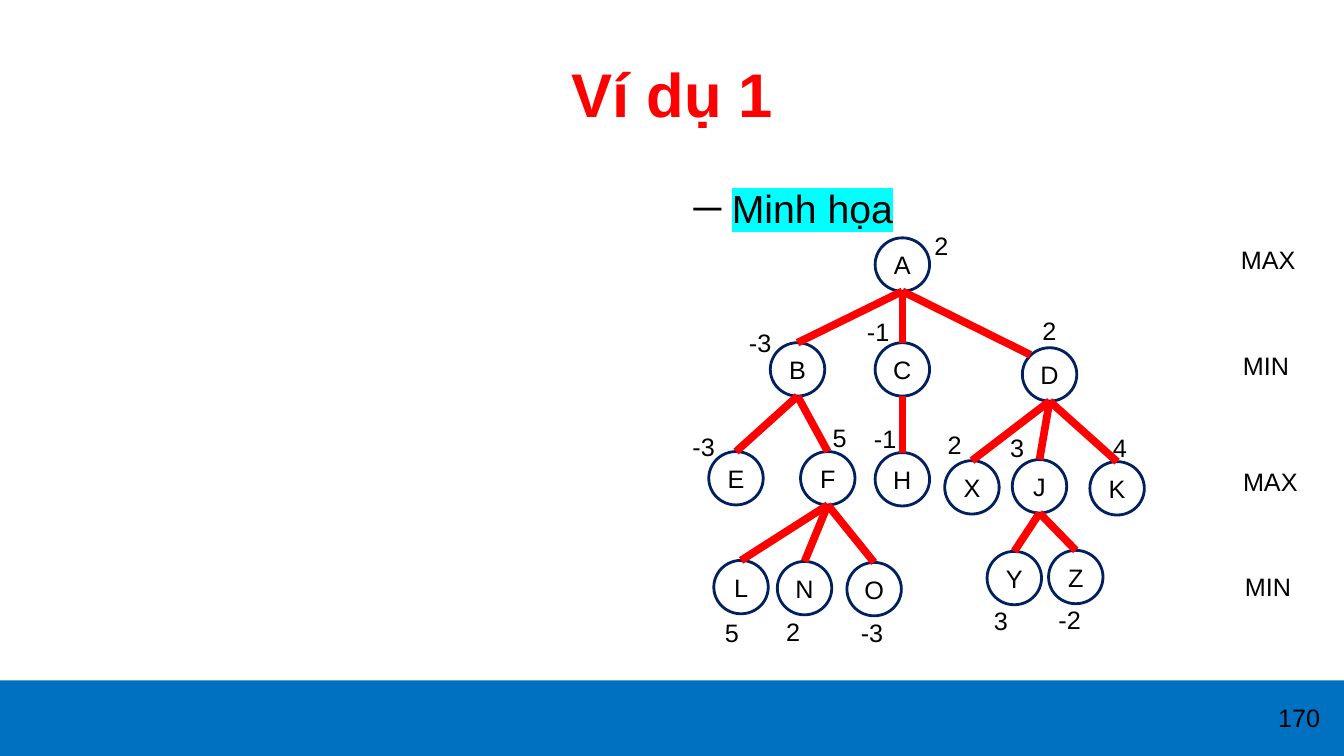
from dataclasses import dataclass

from lxml.etree import SubElement
from pptx import Presentation
from pptx.dml.color import RGBColor
from pptx.enum.shapes import MSO_CONNECTOR, MSO_SHAPE
from pptx.enum.text import MSO_ANCHOR, PP_ALIGN
from pptx.oxml import parse_xml
from pptx.oxml.ns import nsdecls, qn
from pptx.util import Inches, Pt


@dataclass(frozen=True)
class Theme:
    font: str = "Arial"
    text: RGBColor = RGBColor(0, 0, 0)
    accent: RGBColor = RGBColor(0xFF, 0, 0)
    outline: RGBColor = RGBColor(0, 0x20, 0x60)
    footer: RGBColor = RGBColor(0, 0x70, 0xC0)
    highlight: str = "00FFFF"
    title_size: Pt = Pt(44)
    body_size: Pt = Pt(28)
    label_size: Pt = Pt(18)
    outline_width: Pt = Pt(2)
    edge_width: Pt = Pt(5.5)


THEME = Theme()
NODE_WIDTH, NODE_HEIGHT = 0.54, 0.53
LABEL_HEIGHT = 0.4

NODES = {
    "A": (8.68, 2.36),
    "B": (7.64, 3.40), "C": (8.68, 3.40), "D": (10.14, 3.45),
    "E": (7.03, 4.48), "F": (7.94, 4.48), "H": (8.68, 4.49),
    "X": (9.37, 4.57), "J": (10.04, 4.56), "K": (10.81, 4.58),
    "L": (7.08, 5.56), "N": (7.71, 5.57), "O": (8.40, 5.58),
    "Y": (9.79, 5.47), "Z": (10.40, 5.46),
}
CHILDREN = {"A": "BCD", "B": "EF", "C": "H", "D": "XJK", "F": "LNO", "J": "YZ"}
CORNER_ENTRY = {"D": (0.08, 0.07)}
TOP_ENTRY = (NODE_WIDTH / 2, 0)

SCORES = [
    ("2", 9.17, 2.24),
    ("-3", 7.33, 3.20), ("-1", 8.50, 3.09), ("2", 10.24, 3.08),
    ("-3", 6.77, 4.23), ("5", 8.16, 4.14), ("-1", 8.57, 4.15),
    ("2", 9.30, 4.21), ("3", 9.92, 4.24), ("4", 10.94, 4.24),
    ("5", 7.09, 6.08), ("2", 7.70, 6.07), ("-3", 8.44, 6.08),
    ("3", 9.76, 5.96), ("-2", 10.40, 5.95),
]
LEVELS = [("MAX", 12.21, 2.37), ("MIN", 12.23, 3.43),
          ("MAX", 12.23, 4.58), ("MIN", 12.25, 5.62)]
LABEL_WIDTHS = {"MAX": 0.75, "MIN": 0.66}
SCORE_WIDTHS = {1: 0.34, 2: 0.43}


def style_text(paragraph, size, color=THEME.text, bold=False):
    for run in paragraph.runs:
        run.font.name = THEME.font
        run.font.size = size
        run.font.bold = bold
        run.font.color.rgb = color


def add_title(slide, text):
    title = slide.shapes.title
    title.left, title.top = Inches(0.67), Inches(0.3)
    title.width, title.height = Inches(12), Inches(1.25)
    title.text_frame.text = text
    title.text_frame.vertical_anchor = MSO_ANCHOR.MIDDLE
    heading = title.text_frame.paragraphs[0]
    heading.alignment = PP_ALIGN.CENTER
    style_text(heading, THEME.title_size, THEME.accent, bold=True)


def add_label(slide, text, left, top, width, align=PP_ALIGN.LEFT):
    label = slide.shapes.add_textbox(
        Inches(left), Inches(top), Inches(width), Inches(LABEL_HEIGHT))
    label.text_frame.word_wrap = False
    label.text_frame.text = text
    caption = label.text_frame.paragraphs[0]
    caption.alignment = align
    style_text(caption, THEME.label_size)


def add_footer(slide, number):
    band = slide.shapes.add_shape(
        MSO_SHAPE.RECTANGLE, 0, Inches(6.75), Inches(13.33), Inches(0.75))
    band.shadow.inherit = False
    band.fill.solid()
    band.fill.fore_color.rgb = THEME.footer
    band.line.fill.background()
    add_label(slide, number, 12.44, 6.92, 0.89, PP_ALIGN.CENTER)


def add_bullet(slide, text):
    body = slide.shapes.add_textbox(
        Inches(6.78), Inches(1.78), Inches(5.89), Inches(4.92))
    body.text_frame.word_wrap = True
    body.text_frame.text = text
    bullet = body.text_frame.paragraphs[0]
    properties = bullet._p.get_or_add_pPr()
    properties.set("marL", str(Inches(0.38)))
    properties.set("indent", str(Inches(-0.38)))
    SubElement(properties, qn("a:buFont")).set("typeface", THEME.font)
    SubElement(properties, qn("a:buChar")).set("char", "─")
    style_text(bullet, THEME.body_size)
    highlight = parse_xml(
        f'<a:highlight {nsdecls("a")}><a:srgbClr val="{THEME.highlight}"/></a:highlight>')
    bullet.runs[0]._r.rPr.find(qn("a:solidFill")).addnext(highlight)


def add_node(slide, name):
    left, top = NODES[name]
    node = slide.shapes.add_shape(
        MSO_SHAPE.OVAL, Inches(left), Inches(top),
        Inches(NODE_WIDTH), Inches(NODE_HEIGHT))
    node.shadow.inherit = False
    node.fill.background()
    node.line.color.rgb = THEME.outline
    node.line.width = THEME.outline_width
    frame = node.text_frame
    frame.margin_left = frame.margin_right = 0
    frame.margin_top = frame.margin_bottom = 0
    frame.word_wrap = False
    frame.vertical_anchor = MSO_ANCHOR.MIDDLE
    frame.text = name
    frame.paragraphs[0].alignment = PP_ALIGN.CENTER
    style_text(frame.paragraphs[0], THEME.label_size)


def add_edge(slide, parent, child):
    parent_left, parent_top = NODES[parent]
    child_left, child_top = NODES[child]
    entry_x, entry_y = CORNER_ENTRY.get(child, TOP_ENTRY)
    edge = slide.shapes.add_connector(
        MSO_CONNECTOR.STRAIGHT,
        Inches(parent_left + NODE_WIDTH / 2), Inches(parent_top + NODE_HEIGHT),
        Inches(child_left + entry_x), Inches(child_top + entry_y))
    edge.line.color.rgb = THEME.accent
    edge.line.width = THEME.edge_width
    SubElement(edge._element.spPr, qn("a:effectLst"))


def main():
    presentation = Presentation()
    presentation.slide_width = Inches(13.33)
    presentation.slide_height = Inches(7.5)
    slide = presentation.slides.add_slide(presentation.slide_layouts[5])

    add_footer(slide, "170")
    add_title(slide, "Ví dụ 1")
    add_bullet(slide, "Minh họa")
    for name in NODES:
        add_node(slide, name)
    for parent, children in CHILDREN.items():
        for child in children:
            add_edge(slide, parent, child)
    for level, left, top in LEVELS:
        add_label(slide, level, left, top, LABEL_WIDTHS[level])
    for score, left, top in SCORES:
        add_label(slide, score, left, top, SCORE_WIDTHS[len(score)])

    presentation.save("out.pptx")


if __name__ == "__main__":
    main()
